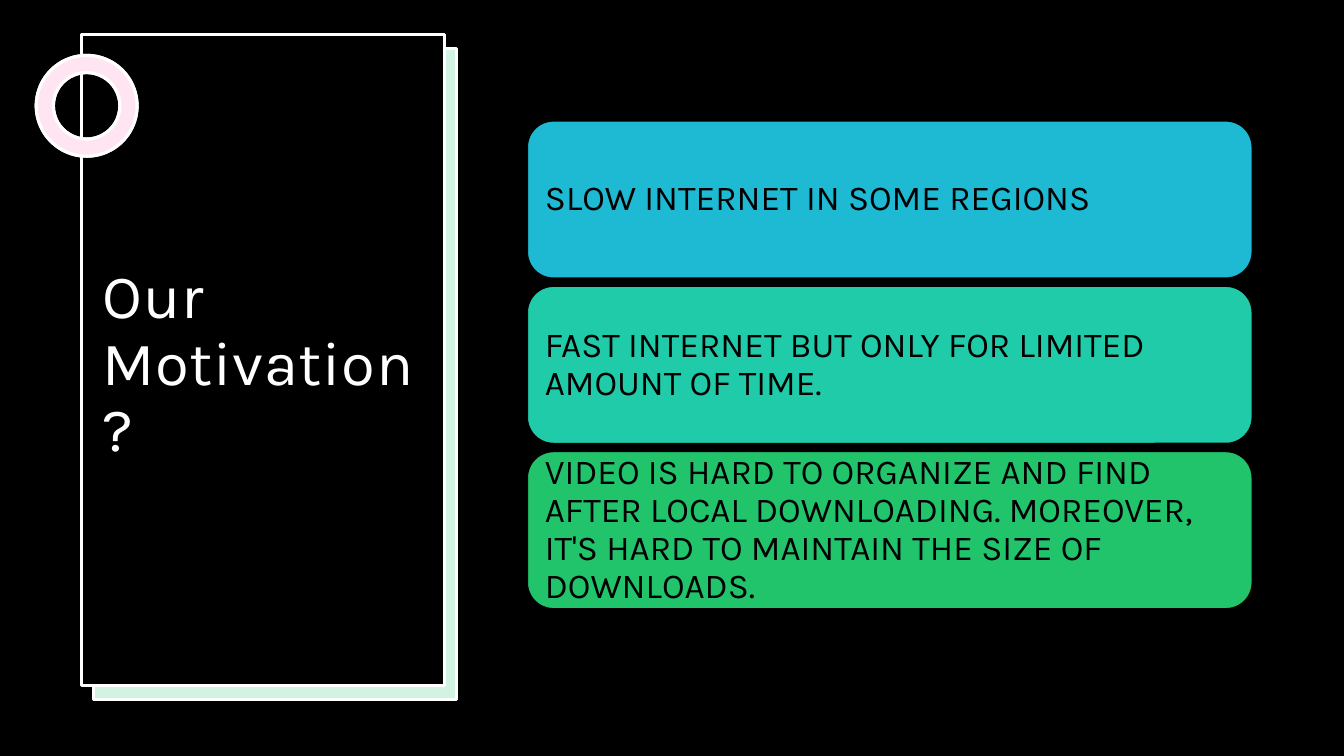
from dataclasses import dataclass

from lxml.etree import SubElement as add_element
from pptx import Presentation
from pptx.dml.color import RGBColor
from pptx.enum.shapes import MSO_SHAPE as Preset
from pptx.enum.text import MSO_ANCHOR as Anchor, PP_ALIGN as Align
from pptx.oxml.ns import qn
from pptx.util import Inches, Pt


@dataclass(frozen=True)
class Theme:
    font: str = "Karla"
    title_size: int = 44
    reason_size: int = 25
    black: str = "000000"
    white: str = "FFFFFF"
    pink: str = "FF80BD"
    blue: str = "1EB9D3"
    teal: str = "20CBA9"
    green: str = "21C46B"


class SlideBuilder:
    def __init__(self, presentation, theme):
        self.theme = theme
        self.slide = presentation.slides.add_slide(presentation.slide_layouts[6])
        self.set_fill(self.slide.background.fill, theme.black)

    def set_fill(self, fill, color, opacity=100):
        fill.solid()
        fill.fore_color.rgb = RGBColor.from_string(color)
        if opacity < 100:
            color_element = fill._xPr.find(qn("a:solidFill"))[0]
            add_element(color_element, qn("a:alpha"), val=str(opacity * 1000))

    def add_shape(self, preset, box, color, line=None, line_width=2.25, opacity=100):
        shape = self.slide.shapes.add_shape(preset, *map(Inches, box))
        shape.shadow.inherit = False
        self.set_fill(shape.fill, color, opacity)
        if line:
            self.set_fill(shape.line.fill, line)
            shape.line.width = Pt(line_width)
        else:
            shape.line.fill.background()
        return shape

    def add_ring(self, box, color, opacity=100):
        ring = self.add_shape(Preset.DONUT, box, color, self.theme.white, opacity=opacity)
        ring.adjustments[0] = 0.17

    def add_title(self, box, text):
        title = self.slide.shapes.add_textbox(*map(Inches, box))
        run = self.set_text(title, text, self.theme.title_size, self.theme.white)
        run.font._element.set("spc", "50")

    def add_reason(self, box, text, color):
        card = self.add_shape(Preset.ROUNDED_RECTANGLE, box, color, self.theme.black, 1)
        self.set_text(card, text, self.theme.reason_size, self.theme.black, Inches(0.1))

    def set_text(self, shape, text, size, color, vertical_margin=Inches(0.05)):
        frame = shape.text_frame
        paragraph = frame.paragraphs[0]
        run = paragraph.add_run()
        run.text = text
        formats = (
            (frame, {"word_wrap": True, "vertical_anchor": Anchor.MIDDLE,
                     "margin_left": Inches(0.1), "margin_right": Inches(0.1),
                     "margin_top": vertical_margin, "margin_bottom": vertical_margin}),
            (paragraph, {"alignment": Align.LEFT, "line_spacing": 0.9}),
            (run.font, {"name": self.theme.font, "size": Pt(size)}),
        )
        for target, values in formats:
            for name, value in values.items():
                setattr(target, name, value)
        run.font.color.rgb = RGBColor.from_string(color)
        return run


def main():
    presentation = Presentation()
    presentation.slide_width = Inches(13.33)
    presentation.slide_height = Inches(7.5)
    theme = Theme()
    builder = SlideBuilder(presentation, theme)

    panel_size = (3.6, 6.46)
    builder.add_shape(Preset.RECTANGLE, (0.92, 0.49, *panel_size), theme.white)
    builder.add_shape(Preset.RECTANGLE, (0.93, 0.48, *panel_size), theme.green, theme.white, opacity=20)
    builder.add_shape(Preset.RECTANGLE, (0.81, 0.34, *panel_size), theme.black, theme.white)

    ring_box = (0.36, 0.55, 1, 1)
    builder.add_ring(ring_box, theme.white)
    builder.add_ring(ring_box, theme.pink, opacity=20)
    builder.add_title((0.92, 1.31, 3.4, 4.63), "Our Motivation?")

    reasons = (
        ("SLOW INTERNET IN SOME REGIONS", theme.blue),
        ("FAST INTERNET BUT ONLY FOR LIMITED AMOUNT OF TIME.", theme.teal),
        ("VIDEO IS HARD TO ORGANIZE AND FIND AFTER LOCAL DOWNLOADING. "
         "MOREOVER, IT'S HARD TO MAINTAIN THE SIZE OF DOWNLOADS.", theme.green),
    )
    for index, (text, color) in enumerate(reasons):
        builder.add_reason((5.23, 1.2 + index * 1.64, 7.19, 1.56), text, color)

    presentation.save("out.pptx")


if __name__ == "__main__":
    main()
